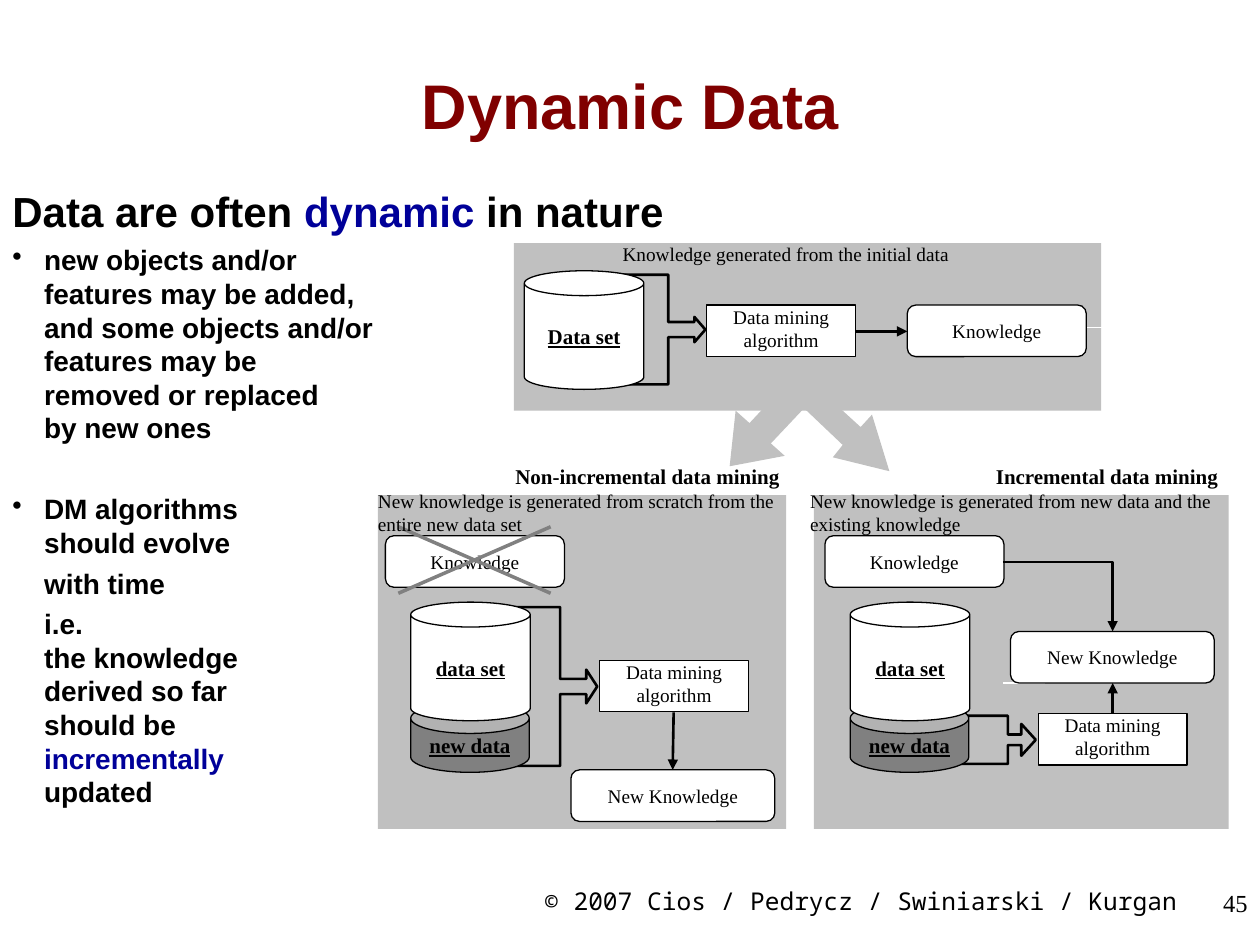
from dataclasses import dataclass
from typing import NamedTuple, Optional

from lxml.etree import SubElement
from pptx import Presentation
from pptx.dml.color import RGBColor
from pptx.enum.shapes import MSO_CONNECTOR as Link, MSO_SHAPE as Preset
from pptx.enum.text import MSO_ANCHOR as Anchor, PP_ALIGN as Align
from pptx.oxml.ns import qn
from pptx.util import Cm, Pt

BLACK = RGBColor(0x00, 0x00, 0x00)
WHITE = RGBColor(0xFF, 0xFF, 0xFF)
SILVER = RGBColor(0xC0, 0xC0, 0xC0)
GRAY = RGBColor(0x80, 0x80, 0x80)
MAROON = RGBColor(0x80, 0x00, 0x00)
NAVY = RGBColor(0x00, 0x00, 0x99)

TITLE = {"name": "Arial", "size": Pt(36), "bold": True}
HEADING = {"name": "Arial", "size": Pt(24), "bold": True}
BODY = {"name": "Arial", "size": Pt(16), "bold": True}
LABEL = {"name": "Times New Roman", "size": Pt(11)}
LABEL_HEAD = {"name": "Times New Roman", "size": Pt(12), "bold": True}
STORE = {**LABEL_HEAD, "underline": True}
COPYRIGHT = {"name": "Noto Sans Mono", "size": Pt(14)}
PAGE = {"name": "Times New Roman", "size": Pt(14)}

BOX_HEIGHT = 1.04
PANEL_STEP = 8.86


class Box(NamedTuple):
    left: float
    top: float
    width: float
    height: float


class Span(NamedTuple):
    text: str
    format: dict
    color: RGBColor = BLACK


@dataclass
class Line:
    spans: list
    align: Align = Align.LEFT
    before: float = 0
    pitch: Optional[float] = None
    indent: float = 0
    bullet: bool = False


@dataclass
class Part:
    preset: Preset
    box: Box
    fill: Optional[RGBColor] = WHITE
    outline: Optional[float] = 0.75
    text: str = ""
    format: Optional[dict] = None
    inset: float = 0
    anchor: Anchor = Anchor.MIDDLE
    adjust: tuple = ()


@dataclass
class Flow:
    start: tuple
    end: tuple
    color: RGBColor = BLACK
    width: float = 1.5
    arrow: bool = True
    bent: bool = False


def write(frame, lines: list, inset: tuple, anchor: Anchor) -> None:
    horizontal, vertical = Cm(inset[0]), Cm(inset[1])
    settings = {"margin_left": horizontal, "margin_right": horizontal, "margin_top": vertical,
                "margin_bottom": vertical, "word_wrap": True, "vertical_anchor": anchor}
    for name, value in settings.items():
        setattr(frame, name, value)
    for index, line in enumerate(lines):
        paragraph = frame.add_paragraph() if index else frame.paragraphs[0]
        properties = paragraph._p.get_or_add_pPr()
        properties.set("marL", str(Cm(line.indent)))
        properties.set("indent", str(-Cm(line.indent) if line.bullet else 0))
        paragraph.alignment = line.align
        paragraph.space_before = Pt(line.before)
        if line.pitch:
            paragraph.line_spacing = Pt(line.pitch)
        if line.bullet:
            SubElement(properties, qn("a:buChar"), char="•")
        for span in line.spans:
            for row, words in enumerate(span.text.split("\n")):
                if row:
                    paragraph.add_line_break()
                if words:
                    run = paragraph.add_run()
                    run.text = words
                    for name, value in span.format.items():
                        setattr(run.font, name, value)
                    run.font.color.rgb = span.color


def add_text(slide, box: Box, lines: list, inset: tuple = (0.25, 0.13),
             anchor: Anchor = Anchor.TOP) -> None:
    write(slide.shapes.add_textbox(*map(Cm, box)).text_frame, lines, inset, anchor)


def paint(shape, fill: Optional[RGBColor], outline: Optional[float]) -> None:
    shape.shadow.inherit = False
    if fill is None:
        shape.fill.background()
    else:
        shape.fill.solid()
        shape.fill.fore_color.rgb = fill
    if outline is None:
        shape.line.fill.background()
    else:
        shape.line.color.rgb = BLACK
        shape.line.width = Pt(outline)


def add_part(slide, part: Part) -> None:
    shape = slide.shapes.add_shape(part.preset, *map(Cm, part.box))
    paint(shape, part.fill, part.outline)
    for index, value in enumerate(part.adjust):
        shape.adjustments[index] = value
    if part.text:
        lines = [Line([Span(part.text, part.format)], Align.CENTER)]
        write(shape.text_frame, lines, (part.inset, 0), part.anchor)


def add_flow(slide, flow: Flow) -> None:
    kind = Link.ELBOW if flow.bent else Link.STRAIGHT
    connector = slide.shapes.add_connector(kind, *map(Cm, flow.start + flow.end))
    connector.line.color.rgb = flow.color
    connector.line.width = Pt(flow.width)
    properties = connector._element.spPr
    if flow.bent:
        properties.find(qn("a:prstGeom")).set("prst", "bentConnector2")
    if flow.arrow:
        SubElement(connector.line._get_or_add_ln(), qn("a:tailEnd"), type="triangle")
    SubElement(properties, qn("a:effectLst"))


def panel(*box: float) -> Part:
    return Part(Preset.RECTANGLE, Box(*box), SILVER, None)


def bracket(box: Box, *adjust: float) -> Part:
    return Part(Preset.RIGHT_ARROW_CALLOUT, box, None, 1.5, adjust=adjust)


def data_set(left: float, top: float, text: str) -> Part:
    return Part(Preset.CAN, Box(left, top, 2.41, 2.39), text=text, format=STORE, adjust=(0.21,))


def new_data(left: float) -> Part:
    return Part(Preset.CAN, Box(left, 14.17, 2.39, 1.4), GRAY, text="new data",
                format=STORE, adjust=(0.44,))


def algorithm(left: float, top: float) -> Part:
    return Part(Preset.FLOWCHART_PROCESS, Box(left, top, 3, BOX_HEIGHT),
                text="Data mining algorithm", format=LABEL, inset=0.25, anchor=Anchor.TOP)


def knowledge(left: float, top: float, width: float = 3.61, text: str = "Knowledge") -> Part:
    return Part(Preset.FLOWCHART_ALTERNATE_PROCESS, Box(left, top, width, BOX_HEIGHT),
                text=text, format=LABEL)


def new_knowledge(left: float, top: float) -> Part:
    return knowledge(left, top, 4.11, "New Knowledge")


def updated_stores(shift: float) -> list:
    return [new_data(8.28 + shift), knowledge(7.77 + shift, 10.8),
            data_set(8.28 + shift, 12.14, "data set")]


def add_caption(slide, box: Box, head: str, detail: str) -> None:
    add_text(slide, box, [Line([Span(head, LABEL_HEAD)], Align.RIGHT),
                          Line([Span(detail, LABEL)])], (0, 0))


def main() -> None:
    deck = Presentation()
    deck.slide_width, deck.slide_height = Cm(25.4), Cm(19.05)
    slide = deck.slides.add_slide(deck.slide_layouts[6])

    small = {"before": 4, "pitch": 19.2, "indent": 0.64}
    add_text(slide, Box(10.16, 17.73, 14.4, 1.32), [
        Line([Span("© 2007 Cios / Pedrycz / Swiniarski / Kurgan", COPYRIGHT)], Align.CENTER)])
    add_text(slide, Box(20.12, 17.78, 5.28, 1.27), [Line([Span("45", PAGE)], Align.RIGHT)])
    add_text(slide, Box(0, 0.84, 25.4, 2.54),
             [Line([Span("Dynamic Data", TITLE, MAROON)], Align.CENTER)], anchor=Anchor.MIDDLE)
    add_text(slide, Box(0, 3.61, 24.13, 13.54), [
        Line([Span("Data are often ", HEADING), Span("dynamic", HEADING, NAVY),
              Span(" in nature", HEADING)]),
        Line([Span("new objects and/or\nfeatures may be added,\nand some objects and/or\n"
                   "features may be\nremoved or replaced\nby new ones", BODY)],
             bullet=True, **small),
        Line([Span("DM algorithms\nshould evolve", BODY)], bullet=True,
             **{**small, "before": 27.2}),
        Line([Span("with time", BODY)], **small),
        Line([Span("i.e.\nthe knowledge\nderived so far\nshould be\n", BODY),
              Span("incrementally\n", BODY, NAVY), Span("updated", BODY)], **small)])

    diagram = [
        panel(10.36, 4.9, 11.84, 3.38),
        bracket(Box(12.52, 5.54, 1.7, 2.21), 0.18, 0.15, 0.13, 0.56),
        Flow((21.49, 6.6), (22.33, 6.6), WHITE, 0.75, False),
        Flow((17.25, 6.68), (18.29, 6.68)),
        data_set(10.57, 5.46, "Data set"), algorithm(14.25, 6.15), knowledge(18.29, 6.15),
        panel(7.62, 9.98, 8.23, 6.73),
        bracket(Box(10.34, 12.24, 1.7, 3.2), 0.18, 0.2, 0.13, 0.56),
        *updated_stores(0),
        Flow((8.03, 10.62), (11.1, 11.96), GRAY, 2, False),
        Flow((8.03, 11.96), (11.1, 10.62), GRAY, 2, False),
        algorithm(12.09, 13.31), new_knowledge(11.51, 15.52),
        Flow((13.58, 14.36), (13.56, 15.52)),
        panel(16.41, 9.98, 8.36, 6.73),
        Flow((20.22, 13.77), (21.06, 13.77), WHITE, 0.75, False),
        bracket(Box(19.18, 14.43, 1.7, 0.97), 0.22, 0.33, 0.3, 0.67),
        *updated_stores(PANEL_STEP),
        algorithm(20.93, 14.38), new_knowledge(20.37, 12.73),
        Flow((22.43, 14.38), (22.43, 13.77)),
        Flow((20.22, 11.33), (22.43, 12.73), bent=True),
    ]
    for item in diagram:
        (add_flow if isinstance(item, Flow) else add_part)(slide, item)

    add_text(slide, Box(12.55, 4.88, 7.98, 0.66),
             [Line([Span("Knowledge generated from the initial data", LABEL)])], (0, 0))
    add_caption(slide, Box(7.62, 9.35, 8.1, 1.98), "Non-incremental data mining",
                "New knowledge is generated from scratch from the entire new data set")
    add_caption(slide, Box(16.33, 9.35, 8.23, 2.03), "Incremental data mining",
                "New knowledge is generated from new data and the existing knowledge")

    tip, *corners = [
        (Cm(x), Cm(y)) for x, y in (
            (14.71, 9.4), (15.82, 9.19), (15.54, 8.94), (16.21, 8.23), (16.99, 8.97),
            (16.79, 9.22), (17.93, 9.5), (17.58, 8.36), (17.35, 8.61), (16.1, 7.47),
            (15.11, 8.53), (14.83, 8.28))]
    fork = slide.shapes.build_freeform(*tip)
    fork.add_line_segments(corners, close=True)
    paint(fork.convert_to_shape(), SILVER, None)
    deck.save("out.pptx")


if __name__ == "__main__":
    main()
